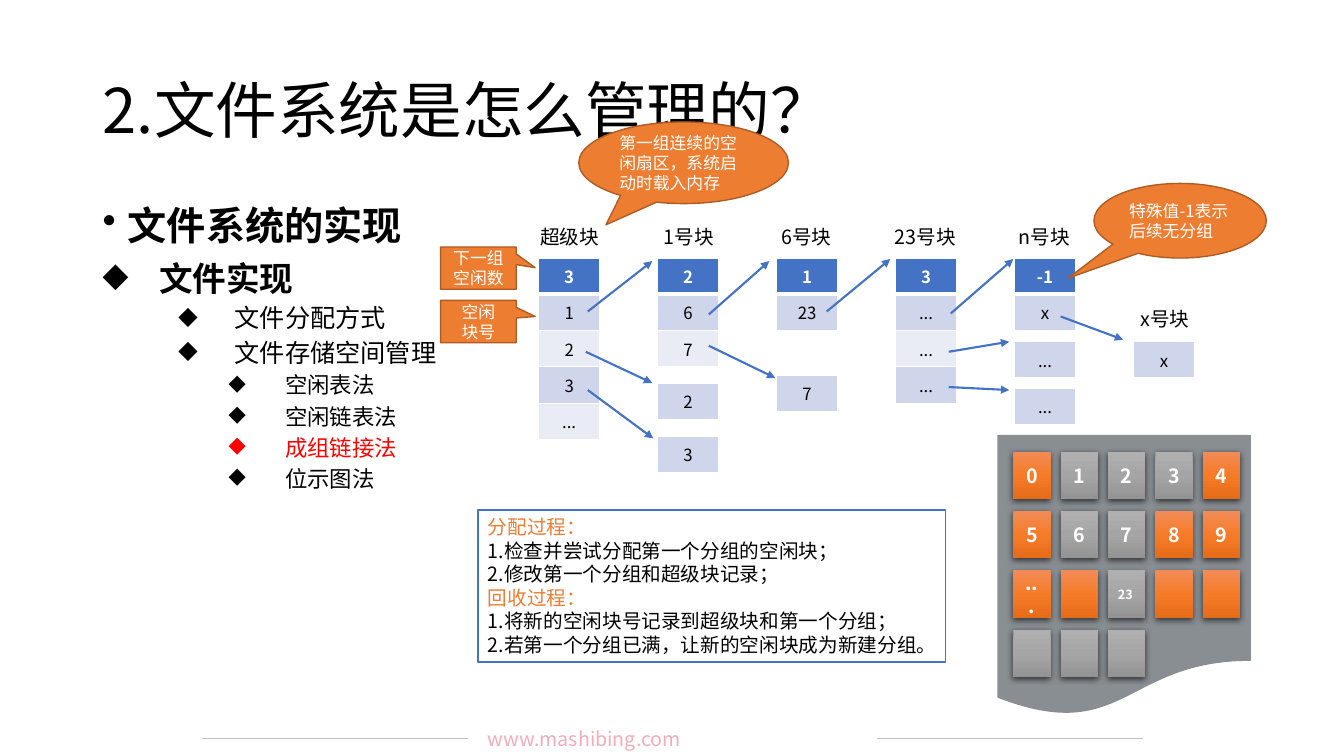
import pptx
import pptx.util
import pptx.dml.color
import pptx.enum.shapes
import pptx.enum.text
import pptx.oxml
import pptx.oxml.ns

Inches = pptx.util.Inches
Pt = pptx.util.Pt
RGBColor = pptx.dml.color.RGBColor
SHAPE = pptx.enum.shapes.MSO_SHAPE
ALIGN = pptx.enum.text.PP_ALIGN
ANCHOR = pptx.enum.text.MSO_ANCHOR

FONT = "Noto Sans CJK SC"
BLACK = RGBColor(0x00, 0x00, 0x00)
WHITE = RGBColor(0xFF, 0xFF, 0xFF)
RED = RGBColor(0xFF, 0x00, 0x00)
BLUE = RGBColor(0x44, 0x72, 0xC4)
DARK_BAND = RGBColor(0xCF, 0xD5, 0xEA)
LIGHT_BAND = RGBColor(0xE9, 0xEB, 0xF5)
ORANGE = RGBColor(0xED, 0x7D, 0x31)
BROWN = RGBColor(0xAF, 0x5C, 0x24)
DISK_GRAY = RGBColor(0x89, 0x8E, 0x93)
PINK = RGBColor(0xF4, 0xAC, 0xBA)
FOOTER_GRAY = RGBColor(0xBF, 0xBF, 0xBF)
NAMESPACE = pptx.oxml.ns.nsdecls("a")


def write(frame, lines, size, color, bold=False, align=ALIGN.LEFT, anchor=ANCHOR.TOP):
    """Fill a text frame with one single-run paragraph per line."""
    frame.word_wrap = True
    frame.vertical_anchor = anchor
    for index, line in enumerate(lines):
        paragraph = frame.paragraphs[0] if index == 0 else frame.add_paragraph()
        paragraph.alignment = align
        run = paragraph.add_run()
        run.text = line
        run.font.name = FONT
        run.font.size = Pt(size)
        run.font.bold = bold
        run.font.color.rgb = color
        run.font._element.append(
            pptx.oxml.parse_xml(f'<a:ea {NAMESPACE} typeface="{FONT}"/>'))


def add_line(start, end, color, width, arrow=False):
    line = slide.shapes.add_connector(
        pptx.enum.shapes.MSO_CONNECTOR.STRAIGHT,
        Inches(start[0]), Inches(start[1]), Inches(end[0]), Inches(end[1]))
    line.line.color.rgb = color
    line.line.width = Pt(width)
    if arrow:
        line.line._get_or_add_ln().append(
            pptx.oxml.parse_xml(f'<a:tailEnd {NAMESPACE} type="triangle"/>'))
    line._element.spPr.append(pptx.oxml.parse_xml(f"<a:effectLst {NAMESPACE}/>"))


presentation = pptx.Presentation()
presentation.slide_width = Inches(13.33)
presentation.slide_height = Inches(7.5)
slide = presentation.slides.add_slide(presentation.slide_layouts[6])

# Footer
for left, right in [(2, 4.64), (8.7, 11.34)]:
    add_line((left, 7.33), (right, 7.33), FOOTER_GRAY, 0.5)
footer = slide.shapes.add_textbox(Inches(4.74), Inches(7.16), Inches(3.85), Inches(0.34))
write(footer.text_frame, ["www.mashibing.com"], 14, PINK)

# Title
title = slide.shapes.add_textbox(Inches(0.92), Inches(0.4), Inches(11.5), Inches(1.45))
write(title.text_frame, ["2.文件系统是怎么管理的？"], 44, BLACK, anchor=ANCHOR.MIDDLE)
title.text_frame.paragraphs[0].line_spacing = 0.9

# Outline: text, size, bold, color, left margin, hanging indent, space before, bullet
outline = [
    ("文件系统的实现", 28, True, BLACK, 0.25, 0.25, 0, "•"),
    ("文件实现", 24, True, BLACK, 0.56, 0.56, 10, "◆"),
    ("文件分配方式", 18, False, BLACK, 1.31, 0.56, 5, "◆"),
    ("文件存储空间管理", 18, False, BLACK, 1.31, 0.56, 5, "◆"),
    ("空闲表法", 16, False, BLACK, 1.81, 0.56, 5, "◆"),
    ("空闲链表法", 16, False, BLACK, 1.81, 0.56, 5, "◆"),
    ("成组链接法", 16, False, RED, 1.81, 0.56, 5, "◆"),
    ("位示图法", 16, False, BLACK, 1.81, 0.56, 5, "◆"),
]
body = slide.shapes.add_textbox(Inches(0.92), Inches(2), Inches(11.5), Inches(5.1))
write(body.text_frame, [item[0] for item in outline], 16, BLACK)
for paragraph, item in zip(body.text_frame.paragraphs, outline):
    text, size, bold, color, margin, hanging, before, bullet = item
    properties = paragraph._p.get_or_add_pPr()
    properties.set("marL", str(Inches(margin)))
    properties.set("indent", str(-Inches(hanging)))
    properties.append(pptx.oxml.parse_xml(f'<a:buChar {NAMESPACE} char="{bullet}"/>'))
    paragraph.line_spacing = 0.9
    paragraph.space_before = Pt(before)
    font = paragraph.runs[0].font
    font.size = Pt(size)
    font.bold = bold
    font.color.rgb = color

# Block tables: column, top, cells, whether the first cell is a header
BLOCK_LEFT, BLOCK_PITCH, BLOCK_WIDTH, ROW_HEIGHT = 5.34, 1.18, 0.61, 0.36
blocks = [
    (0, 2.56, ["3", "1", "2", "3", "..."], True),
    (1, 2.56, ["2", "6", "7"], True),
    (2, 2.56, ["1", "23"], True),
    (3, 2.56, ["3", "...", "...", "..."], True),
    (4, 2.56, ["-1", "x"], True),
    (1, 3.8, ["2"], False),
    (1, 4.33, ["3"], False),
    (2, 3.72, ["7"], False),
    (4, 3.39, ["..."], False),
    (4, 3.85, ["..."], False),
    (5, 3.39, ["x"], False),
]
for column, top, values, has_header in blocks:
    table = slide.shapes.add_table(
        len(values), 1, Inches(BLOCK_LEFT + column * BLOCK_PITCH), Inches(top),
        Inches(BLOCK_WIDTH), Inches(ROW_HEIGHT * len(values))).table
    for row, value in enumerate(values):
        cell = table.cell(row, 0)
        is_header = has_header and row == 0
        write(cell.text_frame, [value], 12, WHITE if is_header else BLACK,
              is_header, ALIGN.CENTER)
        cell.vertical_anchor = ANCHOR.MIDDLE
        for side in "LRTB":
            thick = has_header and (row, side) in [(0, "B"), (1, "T")]
            cell._tc.get_or_add_tcPr().append(pptx.oxml.parse_xml(
                f'<a:ln{side} {NAMESPACE} w="{Pt(3 if thick else 1)}"><a:solidFill>'
                f'<a:srgbClr val="{WHITE}"/></a:solidFill></a:ln{side}>'))
        cell.fill.solid()
        banded = LIGHT_BAND if has_header and row % 2 == 0 else DARK_BAND
        cell.fill.fore_color.rgb = BLUE if is_header else banded

block_names = [
    ("超级块", 5.15, 2.18, 1), ("1号块", 6.33, 2.18, 1), ("6号块", 7.5, 2.18, 1),
    ("23号块", 8.68, 2.18, 1), ("n号块", 9.86, 2.18, 1), ("x号块", 11.17, 3, 0.77),
]
for name, left, top, width in block_names:
    label = slide.shapes.add_textbox(Inches(left), Inches(top), Inches(width), Inches(0.34))
    write(label.text_frame, [name], 14, BLACK, align=ALIGN.CENTER)

block_arrows = [
    ((5.83, 3.09), (6.47, 2.59)), ((5.81, 3.49), (6.47, 3.8)),
    ((5.83, 3.87), (6.48, 4.35)), ((7.03, 3.12), (7.63, 2.59)),
    ((7.03, 3.43), (7.69, 3.75)), ((8.2, 3.09), (8.83, 2.57)),
    ((9.43, 3.11), (10.05, 2.57)), ((9.41, 3.49), (10.01, 3.39)),
    ((9.41, 3.84), (10.01, 3.87)), ((10.52, 3.14), (11.14, 3.37)),
]
for start, end in block_arrows:
    add_line(start, end, BLUE, 1.5, arrow=True)

# Disk with its sectors
disk = slide.shapes.add_shape(
    SHAPE.FLOWCHART_DOCUMENT, Inches(9.9), Inches(4.32), Inches(2.5), Inches(2.78))
disk.shadow.inherit = False
disk.fill.solid()
disk.fill.fore_color.rgb = DISK_GRAY
disk.line.color.rgb = DISK_GRAY
disk.line.width = Pt(1)

gradients = {"used": ("F18C57", "F67B28", "E56C19"), "free": ("AFAFAF", "A5A5A5", "939393")}
used_sectors = {0, 4, 5, 8, 9, 10, 11, 13, 14}
sector_labels = {number: str(number) for number in range(10)} | {10: "...", 12: "23"}
for number in range(18):
    row, column = divmod(number, 5)
    sector = slide.shapes.add_shape(
        SHAPE.RECTANGLE, Inches(10.05 + 0.47 * column), Inches(4.48 + 0.59 * row),
        Inches(0.37), Inches(0.47))
    sector.line.fill.background()
    sector.shadow.inherit = False
    colors = gradients["used" if number in used_sectors else "free"]
    stops = "".join(f'<a:gs pos="{position}"><a:srgbClr val="{color}"/></a:gs>'
                    for position, color in zip((0, 50000, 100000), colors))
    properties = sector._element.spPr
    properties.find(pptx.oxml.ns.qn("a:ln")).addprevious(pptx.oxml.parse_xml(
        f'<a:gradFill {NAMESPACE}><a:gsLst>{stops}</a:gsLst><a:lin ang="5400000"/></a:gradFill>'))
    properties.find(pptx.oxml.ns.qn("a:effectLst")).append(pptx.oxml.parse_xml(
        f'<a:outerShdw {NAMESPACE} blurRad="{Pt(4.5)}" dist="{Pt(1.5)}" dir="5400000">'
        '<a:srgbClr val="000000"><a:alpha val="63000"/></a:srgbClr></a:outerShdw>'))
    if number in sector_labels:
        is_small = number == 12
        write(sector.text_frame, [sector_labels[number]], 9 if is_small else 14, WHITE, True,
              ALIGN.LEFT if is_small else ALIGN.CENTER, ANCHOR.MIDDLE)

# Callouts: shape, left, top, width, height, tip, lines, alignment
callouts = [
    (SHAPE.OVAL_CALLOUT, 5.74, 1.21, 2.08, 0.81, (-0.37, 0.76),
     ["第一组连续的空闲扇区，系统启动时载入内存"], ALIGN.LEFT),
    (SHAPE.OVAL_CALLOUT, 10.85, 1.82, 1.71, 0.74, (-0.65, 0.77),
     ["特殊值-1表示后续无分组"], ALIGN.LEFT),
    (SHAPE.RECTANGULAR_CALLOUT, 4.37, 2.45, 0.75, 0.42, (0.75, -0.01),
     ["下一组", "空闲数"], ALIGN.CENTER),
    (SHAPE.RECTANGULAR_CALLOUT, 4.37, 2.98, 0.75, 0.42, (0.75, -0.12),
     ["空闲", "块号"], ALIGN.CENTER),
]
for kind, left, top, width, height, tip, lines, align in callouts:
    callout = slide.shapes.add_shape(
        kind, Inches(left), Inches(top), Inches(width), Inches(height))
    callout.adjustments[0], callout.adjustments[1] = tip
    callout.shadow.inherit = False
    callout.fill.solid()
    callout.fill.fore_color.rgb = ORANGE
    callout.line.color.rgb = BROWN
    callout.line.width = Pt(1)
    write(callout.text_frame, lines, 12, WHITE, align=align, anchor=ANCHOR.MIDDLE)

# Allocation and reclaim steps
steps = slide.shapes.add_shape(
    SHAPE.RECTANGLE, Inches(4.74), Inches(5.06), Inches(4.64), Inches(1.51))
steps.shadow.inherit = False
steps.fill.background()
steps.line.color.rgb = BLUE
steps.line.width = Pt(1)
write(steps.text_frame, [
    "分配过程：", "1.检查并尝试分配第一个分组的空闲块；", "2.修改第一个分组和超级块记录；",
    "回收过程：", "1.将新的空闲块号记录到超级块和第一个分组；",
    "2.若第一个分组已满，让新的空闲块成为新建分组。"], 14, BLACK)
for heading in (0, 3):
    steps.text_frame.paragraphs[heading].runs[0].font.color.rgb = ORANGE

presentation.save("out.pptx")
